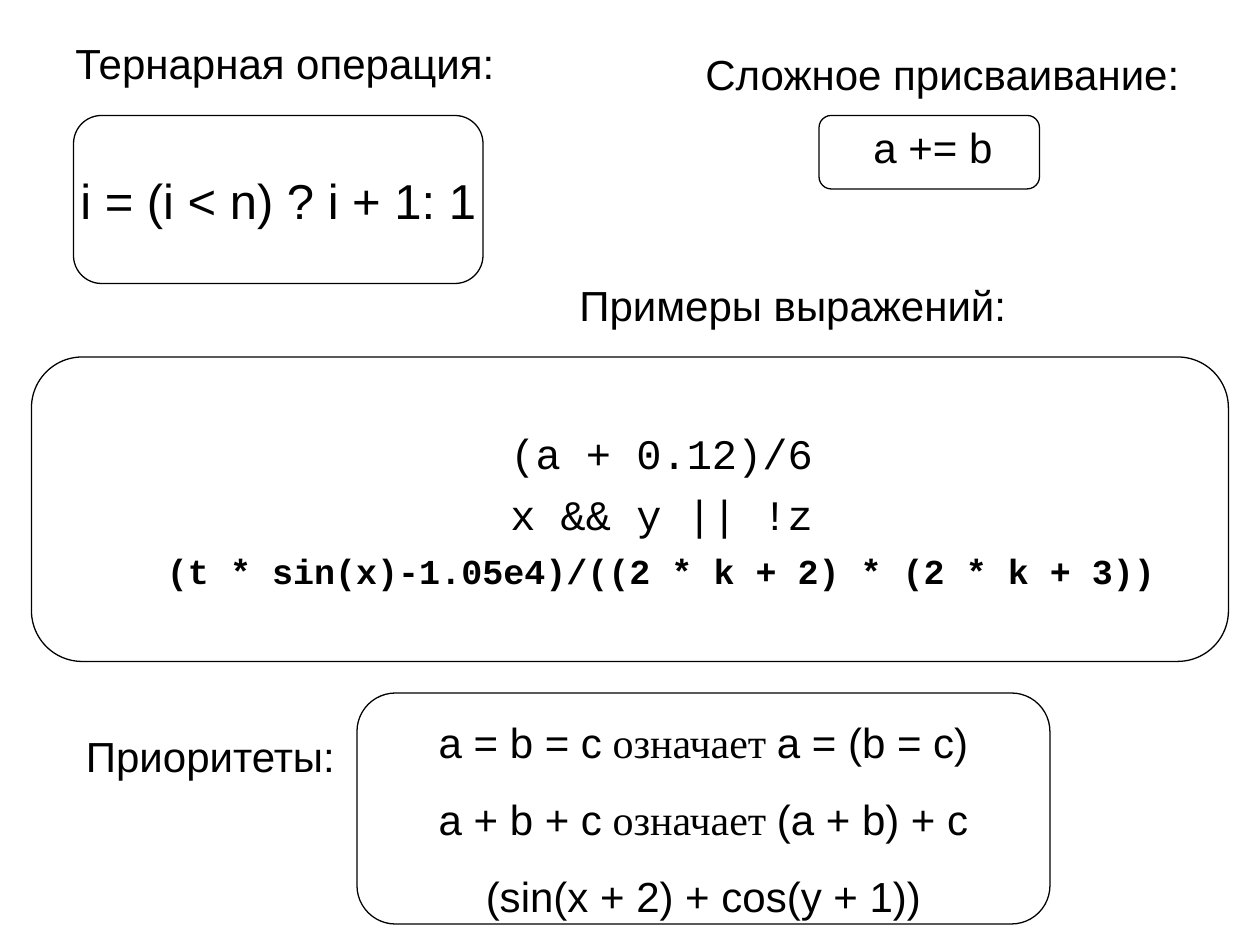
from dataclasses import dataclass

from pptx import Presentation
from pptx.dml.color import RGBColor
from pptx.enum.shapes import MSO_SHAPE
from pptx.enum.text import MSO_ANCHOR, PP_ALIGN
from pptx.util import Inches, Pt

ROUNDED = MSO_SHAPE.ROUNDED_RECTANGLE
TOP, MIDDLE = MSO_ANCHOR.TOP, MSO_ANCHOR.MIDDLE
CENTER = PP_ALIGN.CENTER


@dataclass(frozen=True)
class Theme:
    ink: RGBColor = RGBColor(0, 0, 0)
    paper: RGBColor = RGBColor(255, 255, 255)
    sans: str = "Arial"
    serif: str = "Times New Roman"
    mono: str = "Courier New"
    small: int = 20
    body: int = 24
    large: int = 28
    line: float = 0.75


class SlideBuilder:
    """Places elements on a grid of 120 columns by 90 rows."""

    COLS, ROWS = 120, 90

    def __init__(self, prs, theme):
        self.theme = theme
        self.slide = prs.slides.add_slide(prs.slide_layouts[6])
        self.col = prs.slide_width / self.COLS
        self.row = prs.slide_height / self.ROWS

    def place(self, col, row, cols, rows):
        return (round(col * self.col), round(row * self.row),
                round(cols * self.col), round(rows * self.row))

    def style(self, p, size=None, font=None, bold=None):
        p.font.size = Pt(size or self.theme.body)
        p.font.name = font or self.theme.sans
        p.font.bold = bold
        p.font.color.rgb = self.theme.ink

    def label(self, text, *cell):
        sp = self.slide.shapes.add_textbox(*self.place(*cell))
        tf = sp.text_frame
        tf.word_wrap = True
        p = tf.paragraphs[0]
        p.text = text
        self.style(p)

    def panel(self, *cell, anchor=MIDDLE, left=0.1, top=0.05, bottom=0.05):
        sp = self.slide.shapes.add_shape(ROUNDED, *self.place(*cell))
        sp.shadow.inherit = False
        sp.fill.solid()
        sp.fill.fore_color.rgb = self.theme.paper
        sp.line.color.rgb = self.theme.ink
        sp.line.width = Pt(self.theme.line)
        tf = sp.text_frame
        tf.word_wrap = False
        tf.vertical_anchor = anchor
        tf.margin_left = Inches(left)
        tf.margin_top, tf.margin_bottom = Inches(top), Inches(bottom)
        return tf

    def lines(self, tf, rows, before=0, after=0):
        """Each row is (parts, style); a part is (text, font or None)."""
        for i, (parts, style) in enumerate(rows):
            p = tf.add_paragraph() if i else tf.paragraphs[0]
            p.alignment = CENTER
            p.space_before = Pt(before if i else 0)
            p.space_after = Pt(after)
            self.style(p, **style)
            for text, font in parts:
                r = p.add_run()
                r.text = text
                if font:
                    r.font.name = font


def main():
    theme = Theme()
    prs = Presentation()
    prs.slide_width, prs.slide_height = Inches(10), Inches(7.5)
    s = SlideBuilder(prs, theme)

    # Priorities
    means = (" означает ", theme.serif)
    priorities = s.panel(34, 66, 66, 22, anchor=TOP, top=0.1, bottom=0)
    s.lines(priorities, [
        ([("a = b = c", None), means, ("a = (b = c)", None)], {}),
        ([("a + b + c", None), means, ("(a + b) + c", None)], {}),
        ([("(sin(x + 2) + cos(y + 1))", None)], {}),
    ], before=15)

    # Compound assignment frame
    s.panel(78, 11, 21, 7)

    # Ternary operation
    ternary = s.panel(7, 11, 39, 16)
    s.lines(ternary, [([("i = (i < n) ? i + 1: 1", None)], {"size": theme.large})])

    # Sample expressions, indented from the left
    code = {"font": theme.mono}
    samples = s.panel(3, 34, 114, 29, left=0.6)
    s.lines(samples, [
        ([("(a + 0.12)/6", None)], code),
        ([("x && y || !z", None)], code),
        ([("(t * sin(x)-1.05e4)/((2 * k + 2) * (2 * k + 3))", None)],
         {**code, "size": theme.small, "bold": True}),
    ], after=6)

    # Headings and the assignment text
    for text, *cell in [
        ("Тернарная операция:", 6, 3, 50, 6),
        ("Примеры выражений:", 54, 26, 59, 6),
        ("a += b", 82, 11, 16, 6),
        ("Приоритеты:", 7, 69, 32, 6),
        ("Сложное присваивание:", 66, 4, 49, 6),
    ]:
        s.label(text, *cell)

    prs.save("out.pptx")


if __name__ == "__main__":
    main()
